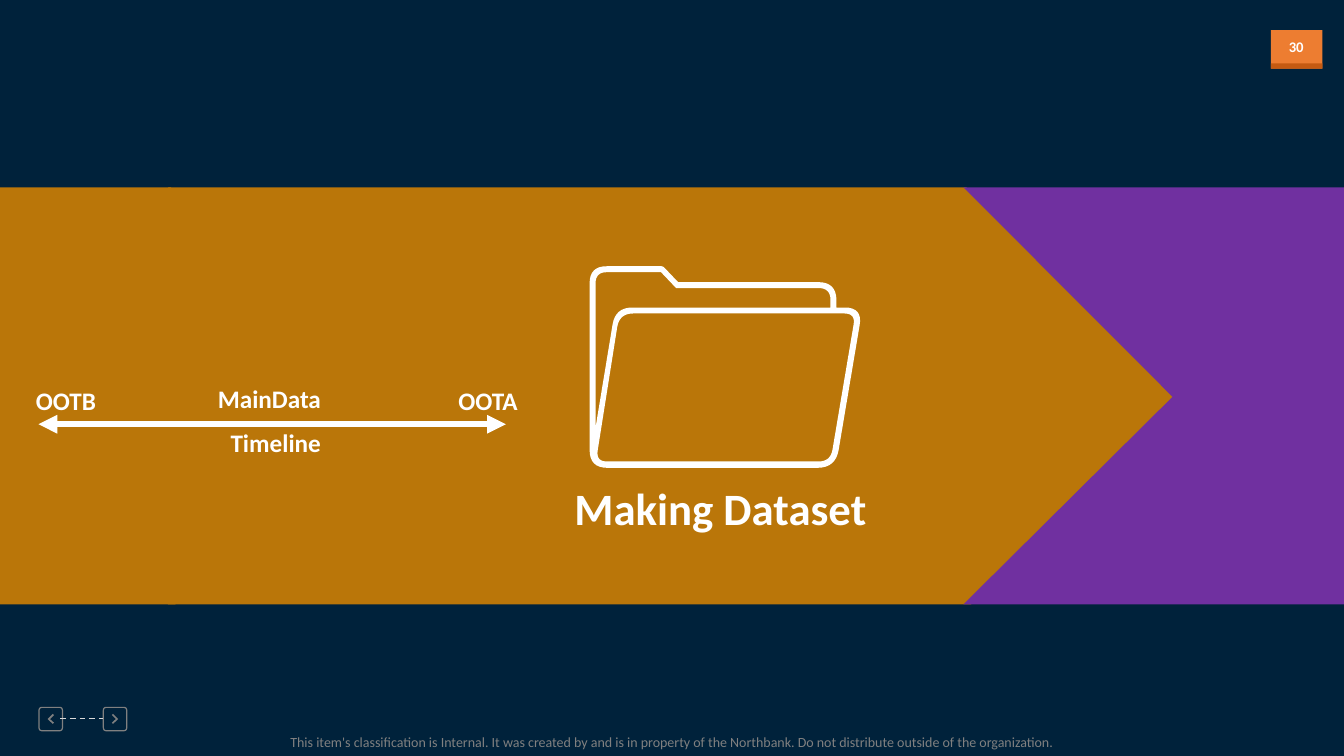
"""Build the Making Dataset section slide with its timeline arrow and folder icon."""
from dataclasses import dataclass
from math import dist

from lxml import etree
from pptx import Presentation
from pptx.dml.color import RGBColor
from pptx.enum.dml import MSO_LINE
from pptx.enum.shapes import MSO_CONNECTOR, MSO_SHAPE
from pptx.enum.text import MSO_ANCHOR, PP_ALIGN
from pptx.oxml.ns import qn
from pptx.util import Cm, Pt

STRAIGHT = MSO_CONNECTOR.STRAIGHT
RECTANGLE = MSO_SHAPE.RECTANGLE
DASH = MSO_LINE.DASH
TOP, MIDDLE = MSO_ANCHOR.TOP, MSO_ANCHOR.MIDDLE
LEFT, CENTER = PP_ALIGN.LEFT, PP_ALIGN.CENTER


@dataclass(frozen=True)
class Theme:
    font: str = "Calibri"
    background: str = "00223B"
    ochre: str = "BA7609"
    purple: str = "7030A0"
    orange: str = "ED7D31"
    dark_orange: str = "C55A11"
    white: str = "FFFFFF"
    grey: str = "808080"
    light_grey: str = "D9D9D9"
    title_size: float = 32
    label_size: float = 18
    number_size: float = 10.5
    footer_size: float = 10
    arrow_width: float = 4.5
    dash_width: float = 1


THEME = Theme()

TITLE = ("Making Dataset", (14.22, 11.99, 8.74, 1.63))
FOOTER = (
    "This item's classification is Internal. It was created by and is in property "
    "of the Northbank. Do not distribute outside of the organization.",
    (5.94, 18.47, 21.97, 0.43),
)
PAGE_NUMBER = ("30", (32.18, 0.84, 0.97, 0.71))
PAGE_TAB = [
    ((32.03, 0.76, 1.3, 0.97), THEME.orange),
    ((32.03, 1.6, 1.3, 0.13), THEME.dark_orange),
]
LABEL_SIZE = (4.34, 1.02)
LABELS = [
    ("Timeline", 4.78, 10.64),
    ("OOTA", 10.13, 9.58),
    ("OOTB", -0.51, 9.58),
    ("MainData", 4.62, 9.53),
]
TIMELINE = (0.97, 12.75, 10.69)
NAVIGATION_LINE = (1.52, 2.59, 18.11)

BAND_TOP = 4.72
FIRST_CHEVRON, CHEVRON_STEP = -15.82, 20.05
CHEVRONS = [(1, THEME.ochre), (0, THEME.ochre), (2, THEME.purple)]
CHEVRON_OUTLINE = [(20.12, 0, 0), (0, 0, 0), (5.27, 5.28, 0),
                   (0, 10.51, 0), (20.24, 10.51, 0), (25.5, 5.28, 0)]

FOLDER = [
    [(14.86, 6.71, 0.43), (16.71, 6.71, 0.05), (17.09, 7.11, 0), (21.08, 7.11, 0.46),
     (21.08, 7.75, 0), (21.74, 7.75, 0.45), (21.06, 11.79, 0.46), (14.86, 11.79, 0.45)],
    [(15.01, 6.86, 0.28), (16.66, 6.86, 0), (17.04, 7.26, 0), (20.93, 7.26, 0.3),
     (20.93, 7.75, 0), (15.51, 7.75, 0.43), (15.01, 10.77, 0)],
    [(15.61, 7.9, 0.35), (21.56, 7.9, 0.28), (20.93, 11.63, 0.3), (15.02, 11.63, 0.28)],
]

BUTTON_TOP, BUTTON_SIZE, BUTTON_BORDER, BUTTON_RADIUS = 17.81, 0.62, 0.03, 0.1
BUTTONS = [(0.97, False), (2.59, True)]
ANGLE_MARK = [(0.36, 0.18, 0), (0.23, 0.31, 0), (0.36, 0.43, 0),
              (0.39, 0.4, 0), (0.29, 0.31, 0), (0.39, 0.21, 0)]


def color(value):
    return RGBColor.from_string(value)


def shifted(corners, left, top):
    return [(left + x, top + y, radius) for x, y, radius in corners]


def square(inset):
    far, radius = BUTTON_SIZE - inset, BUTTON_RADIUS - inset
    return [(inset, inset, radius), (far, inset, radius),
            (far, far, radius), (inset, far, radius)]


def toward(start, end, length):
    share = length / dist(start, end)
    return tuple(a + (b - a) * share for a, b in zip(start, end))


def rounded(corners, steps=8):
    points = []
    for index, (x, y, radius) in enumerate(corners):
        corner = (x, y)
        if not radius:
            points.append(corner)
            continue
        enter = toward(corner, corners[index - 1][:2], radius)
        leave = toward(corner, corners[(index + 1) % len(corners)][:2], radius)
        for step in range(steps + 1):
            t = step / steps
            points.append(tuple((1 - t) ** 2 * a + 2 * t * (1 - t) * b + t ** 2 * c
                                for a, b, c in zip(enter, corner, leave)))
    return [(Cm(x), Cm(y)) for x, y in points]


def paint(shape, fill):
    shape.shadow.inherit = False
    shape.fill.solid()
    shape.fill.fore_color.rgb = color(fill)
    shape.line.fill.background()


def add_outline(shapes, contours, fill):
    first, *holes = [rounded(contour) for contour in contours]
    builder = shapes.build_freeform(*first[0], scale=1.0)
    builder.add_line_segments(first[1:], close=True)
    for hole in holes:
        builder.move_to(*hole[0])
        builder.add_line_segments(hole[1:], close=True)
    paint(builder.convert_to_shape(), fill)


def write(shape, text, size, fill, bold=True, align=CENTER, anchor=TOP, wrap=True):
    frame = shape.text_frame
    frame.word_wrap = wrap
    frame.vertical_anchor = anchor
    paragraph = frame.paragraphs[0]
    paragraph.alignment = align
    run = paragraph.add_run()
    run.text = text
    run.font.name = THEME.font
    run.font.size = Pt(size)
    run.font.bold = bold
    run.font.color.rgb = color(fill)
    return frame


def add_text(shapes, box, *args, **options):
    return write(shapes.add_textbox(*map(Cm, box)), *args, **options)


def add_line(shapes, ends, fill, width):
    start, end, y = map(Cm, ends)
    connector = shapes.add_connector(STRAIGHT, start, y, end, y)
    connector.line.color.rgb = color(fill)
    connector.line.width = Pt(width)
    etree.SubElement(connector.element.spPr, qn("a:effectLst"))
    return connector


def add_navigation(shapes):
    for left, mirrored in BUTTONS:
        group = shapes.add_group_shape()
        mark = [(BUTTON_SIZE - x if mirrored else x, y, r) for x, y, r in ANGLE_MARK]
        border = [square(0), square(BUTTON_BORDER)]
        for contours in ([mark], border):
            placed = [shifted(contour, left, BUTTON_TOP) for contour in contours]
            add_outline(group.shapes, placed, THEME.grey)
    line = add_line(shapes, NAVIGATION_LINE, THEME.light_grey, THEME.dash_width)
    line.line.dash_style = DASH


def main():
    presentation = Presentation()
    presentation.slide_width, presentation.slide_height = Cm(33.87), Cm(19.05)
    slide = presentation.slides.add_slide(presentation.slide_layouts[5])
    slide.background.fill.solid()
    slide.background.fill.fore_color.rgb = color(THEME.background)
    shapes = slide.shapes

    text, box = FOOTER
    frame = add_text(shapes, box, text, THEME.footer_size, THEME.grey, bold=False, anchor=MIDDLE)
    frame.margin_left = frame.margin_right = frame.margin_top = frame.margin_bottom = 0
    for box, fill in PAGE_TAB:
        paint(shapes.add_shape(RECTANGLE, *map(Cm, box)), fill)
    text, box = PAGE_NUMBER
    add_text(shapes, box, text, THEME.number_size, THEME.white, wrap=False)
    add_navigation(shapes)

    for position, fill in CHEVRONS:
        left = FIRST_CHEVRON + position * CHEVRON_STEP
        add_outline(shapes, [shifted(CHEVRON_OUTLINE, left, BAND_TOP)], fill)

    title = shapes.title
    text, box = TITLE
    title.left, title.top, title.width, title.height = map(Cm, box)
    write(title, text, THEME.title_size, THEME.white, align=LEFT)
    title.element.getparent().append(title.element)

    add_outline(shapes, FOLDER, THEME.white)
    arrow = add_line(shapes, TIMELINE, THEME.white, THEME.arrow_width)
    for end in ("a:headEnd", "a:tailEnd"):
        etree.SubElement(arrow.line._get_or_add_ln(), qn(end), type="triangle")
    for text, left, top in LABELS:
        add_text(shapes, (left, top, *LABEL_SIZE), text, THEME.label_size, THEME.white)

    presentation.save("out.pptx")


if __name__ == "__main__":
    main()
